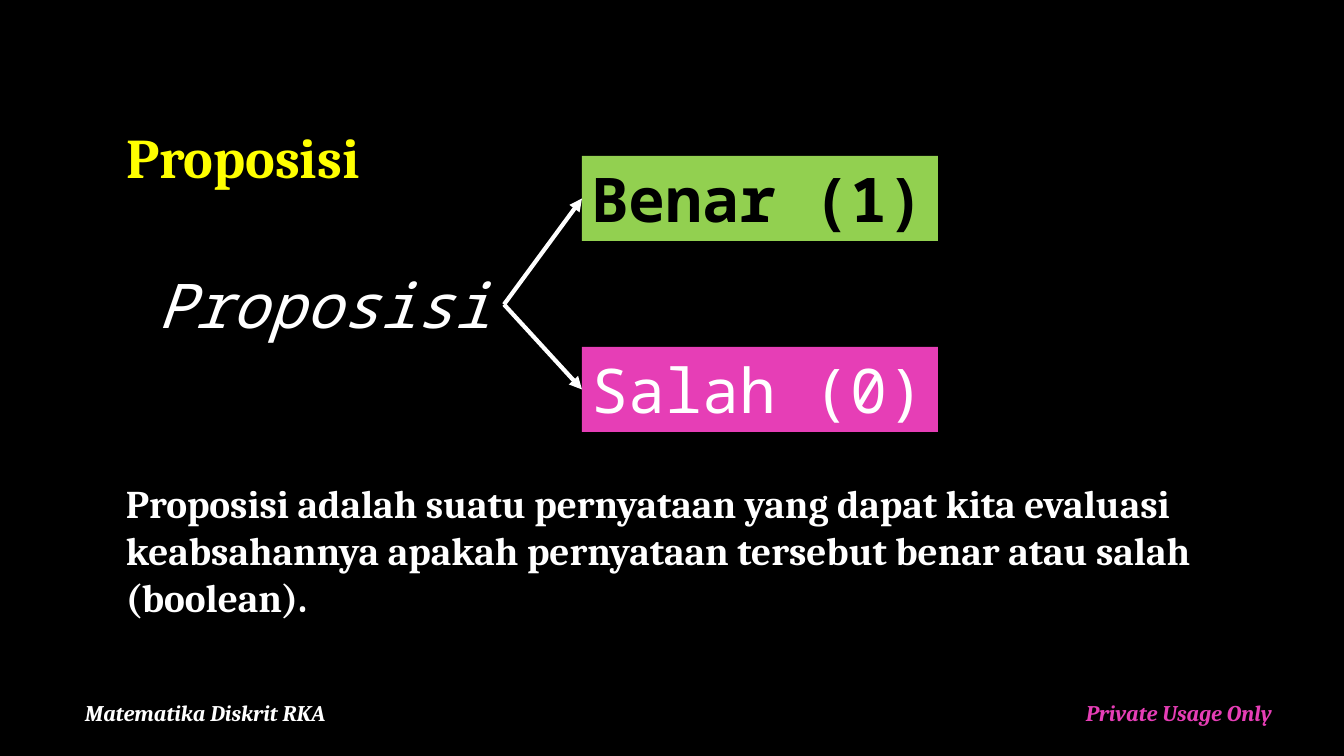
import dataclasses

import lxml.etree
import pptx
import pptx.dml.color
import pptx.enum.shapes
import pptx.enum.text
import pptx.oxml.ns
import pptx.util

# Content: text, place in px (left, top, width, height)
TITLE = ("Proposisi", (116, 81, 1008, 115))
MEANING = (
    "Proposisi adalah suatu pernyataan yang dapat kita evaluasi "
    "keabsahannya apakah pernyataan tersebut benar atau salah (boolean).",
    (116, 474, 1122, 152),
)
TERM = ("Proposisi", (148, 262, 356, 85))
FOOTERS = [
    ("Matematika Diskrit RKA", (75, 697, 1008, 51), "white"),
    ("Private Usage Only", (1076, 697, 268, 51), "pink"),
]
# Text, top, fill, ink, bold
VALUES = [
    ("Benar (1)", 156, "green", "black", True),
    ("Salah (0)", 347, "pink", "white", False),
]
VALUE_LEFT = 582
SIZE = (1344, 756)
SCALE = 914400 / 100.8


@dataclasses.dataclass(frozen=True)
class Theme:
    black: str = "000000"
    white: str = "FFFFFF"
    yellow: str = "FFFF00"
    green: str = "92D050"
    pink: str = "E63EB6"
    serif: str = "Cambria"
    mono: str = "Noto Sans Mono"
    title: int = 40
    body: int = 28
    term: int = 44
    footer: int = 16
    line: int = 3


THEME = Theme()


def emu(*lengths):
    return [round(length * SCALE) for length in lengths]


def color(name):
    return pptx.dml.color.RGBColor.from_string(getattr(THEME, name))


def write(shape, text, size, ink, face="serif", bold=False, italic=False,
          wrap=True, spacing=None, before=None):
    frame = shape.text_frame
    frame.text = text
    frame.word_wrap = wrap
    frame.auto_size = pptx.enum.text.MSO_AUTO_SIZE.NONE
    frame.vertical_anchor = pptx.enum.text.MSO_ANCHOR.TOP
    para = frame.paragraphs[0]
    para.alignment = pptx.enum.text.PP_ALIGN.LEFT
    if spacing:
        para.line_spacing = spacing
    if before:
        para.space_before = pptx.util.Pt(before)
    font = para.runs[0].font
    font.name = getattr(THEME, face)
    font.size = pptx.util.Pt(getattr(THEME, size))
    font.color.rgb = color(ink)
    font.bold = bold
    font.italic = italic


def add_box(slide, place, fill=None):
    if fill is None:
        return slide.shapes.add_textbox(*emu(*place))
    kind = pptx.enum.shapes.MSO_SHAPE.RECTANGLE
    box = slide.shapes.add_shape(kind, *emu(*place))
    box.shadow.inherit = False
    box.fill.solid()
    box.fill.fore_color.rgb = color(fill)
    box.line.fill.background()
    return box


def add_arrow(slide, start, end):
    kind = pptx.enum.shapes.MSO_CONNECTOR.STRAIGHT
    arrow = slide.shapes.add_connector(kind, 0, 0, 0, 0)
    arrow.begin_connect(start, 3)
    arrow.end_connect(end, 1)
    arrow.line.color.rgb = color("white")
    arrow.line.width = pptx.util.Pt(THEME.line)
    props = arrow.element.spPr
    stroke = props.find(pptx.oxml.ns.qn("a:ln"))
    lxml.etree.SubElement(stroke, pptx.oxml.ns.qn("a:tailEnd"), type="triangle")
    lxml.etree.SubElement(props, pptx.oxml.ns.qn("a:effectLst"))


def main():
    deck = pptx.Presentation()
    deck.slide_width, deck.slide_height = emu(*SIZE)
    slide = deck.slides.add_slide(deck.slide_layouts[5])
    slide.background.fill.solid()
    slide.background.fill.fore_color.rgb = color("black")

    # Title
    text, place = TITLE
    title = slide.shapes.title
    title.left, title.top, title.width, title.height = emu(*place)
    write(title, text, "title", "yellow", bold=True, spacing=0.9)
    title.text_frame.vertical_anchor = pptx.enum.text.MSO_ANCHOR.BOTTOM

    # Meaning
    text, place = MEANING
    write(add_box(slide, place), text, "body", "white", bold=True)

    # Term with an arrow to each of its values
    text, place = TERM
    term = add_box(slide, place)
    write(term, text, "term", "white", "mono", italic=True, wrap=False)
    for text, top, fill, ink, bold in VALUES:
        box = add_box(slide, (VALUE_LEFT, top, *place[2:]), fill)
        write(box, text, "term", ink, "mono", bold=bold, wrap=False)
        add_arrow(slide, term, box)

    # Footers
    for text, place, ink in FOOTERS:
        write(add_box(slide, place), text, "footer", ink, bold=True,
              italic=True, spacing=0.9, before=10)

    deck.save("out.pptx")


if __name__ == "__main__":
    main()
